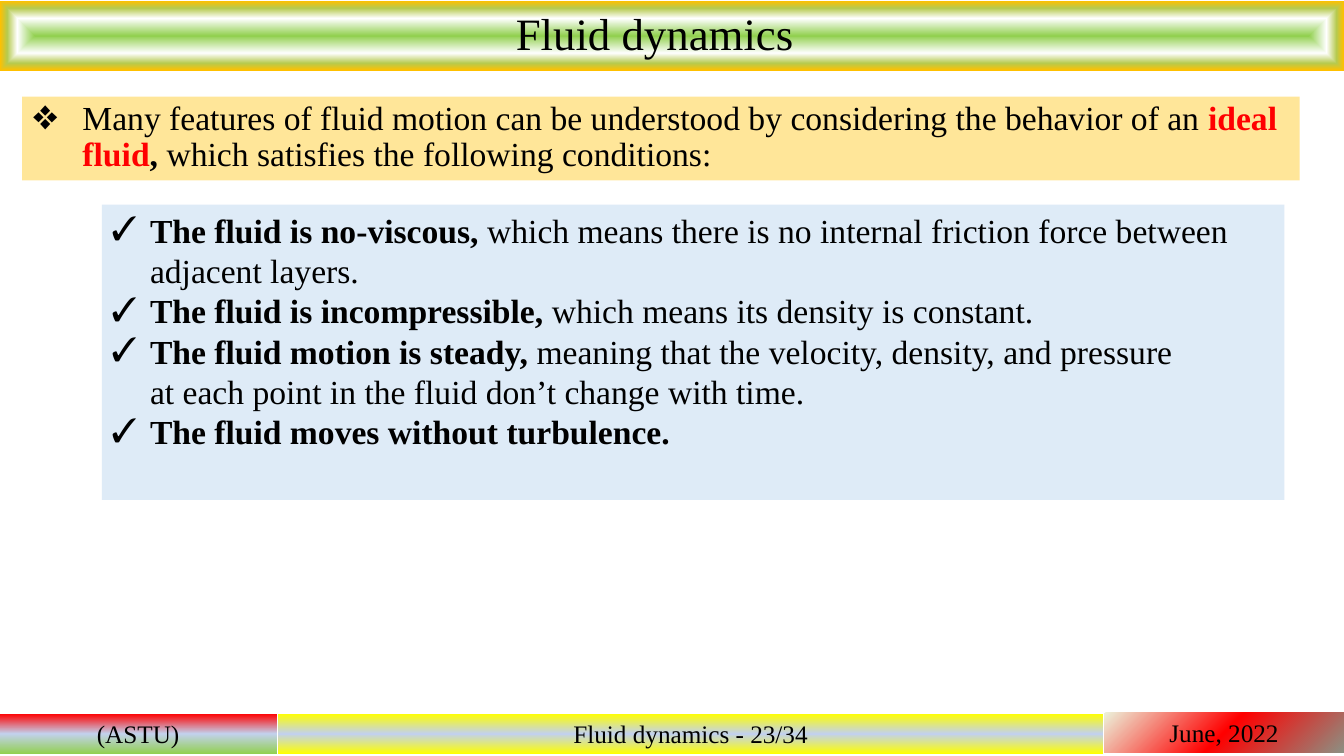
from dataclasses import dataclass
from typing import Optional

from lxml import etree
from pptx import Presentation
from pptx.dml.color import RGBColor
from pptx.enum.shapes import MSO_SHAPE
from pptx.enum.text import MSO_ANCHOR, PP_ALIGN
from pptx.oxml.ns import qn
from pptx.util import Inches, Pt

RECTANGLE = MSO_SHAPE.RECTANGLE
TOP, MIDDLE = MSO_ANCHOR.TOP, MSO_ANCHOR.MIDDLE
LEFT, CENTER = PP_ALIGN.LEFT, PP_ALIGN.CENTER

FONT = "Times New Roman"
BLACK = RGBColor(0x00, 0x00, 0x00)
WHITE = RGBColor(0xFF, 0xFF, 0xFF)
RED = RGBColor(0xFF, 0x00, 0x00)
YELLOW = RGBColor(0xFF, 0xFF, 0x00)
GREEN = RGBColor(0x92, 0xD0, 0x50)
OLIVE = RGBColor(0xB6, 0xCA, 0x4F)
GOLD = RGBColor(0xFF, 0xC0, 0x00)
SAND = RGBColor(0xFF, 0xE6, 0x99)
PALE_BLUE = RGBColor(0xDE, 0xEB, 0xF7)
MIST_BLUE = RGBColor(0xC2, 0xD1, 0xED)
GREY = RGBColor(0x8C, 0x90, 0x83)
CREAM = RGBColor(0xEC, 0xF3, 0xDC)


@dataclass(frozen=True)
class Span:
    text: str
    bold: bool = False
    color: RGBColor = BLACK
    break_before: bool = False


@dataclass(frozen=True)
class Panel:
    left: float
    top: float
    width: float
    height: float
    fill: RGBColor
    bullet: str
    indent: float
    line_spacing: float
    items: list[list[Span]]


@dataclass(frozen=True)
class Gradient:
    stops: list[tuple[int, RGBColor]]
    path_kind: Optional[str] = None  # None runs from top to bottom
    focus: tuple[int, int, int, int] = (50, 50, 50, 50)


@dataclass(frozen=True)
class Bar:
    left: float
    top: float
    width: float
    height: float
    text: str
    size: int
    gradient: Gradient
    right_inset: float = 0.1
    bottom_inset: float = 0.05


PANELS = [
    Panel(0.22, 0.96, 12.67, 0.83, SAND, "❖", 0.5, 0.9, [
        [Span("Many features of fluid motion can be understood by considering the behavior of an "),
         Span("ideal fluid", True, RED), Span(", ", True),
         Span("which satisfies the following conditions:")],
    ]),
    Panel(1.01, 2.03, 11.73, 2.93, PALE_BLUE, "✓", 0.38, 1.0, [
        [Span("The fluid is no-viscous, ", True),
         Span("which means there is no internal friction force between adjacent layers.")],
        [Span("The fluid is incompressible, ", True),
         Span("which means its density is constant.")],
        [Span("The fluid motion is steady, ", True),
         Span("meaning that the velocity, density, and pressure"),
         Span("at each point in the fluid don’t change with time.", break_before=True)],
        [Span("The fluid moves without turbulence.", True)],
    ]),
]

BARS = [
    Bar(0, 0.01, 13.33, 0.69, "Fluid dynamics", 32,
        Gradient([(0, GREEN), (50, WHITE), (79, OLIVE), (100, GOLD)], "rect"), 0.44, 0.11),
    Bar(2.76, 7.08, 8.18, 0.4, "Fluid dynamics - 23/34", 18,
        Gradient([(0, YELLOW), (50, MIST_BLUE), (100, YELLOW)])),
    Bar(-0.01, 7.08, 2.76, 0.4, "(ASTU)", 18,
        Gradient([(0, RED), (50, MIST_BLUE), (100, GREEN)])),
    Bar(10.95, 7.07, 2.38, 0.4, "June, 2022", 18,
        Gradient([(0, GREY), (50, RED), (100, CREAM)], "circle", (100, 100, 0, 0))),
]


def add_box(page, area: Panel | Bar, anchor):
    box = page.shapes.add_shape(RECTANGLE, Inches(area.left), Inches(area.top),
                                Inches(area.width), Inches(area.height))
    box.shadow.inherit = False
    box.line.fill.background()
    box.text_frame.word_wrap = True
    box.text_frame.vertical_anchor = anchor
    return box


def style_font(font, size: int, bold: bool, color: RGBColor) -> None:
    font.name = FONT
    font.size = Pt(size)
    font.bold = bold
    font.color.rgb = color


def set_gradient(box, gradient: Gradient) -> None:
    fill = etree.Element(qn("a:gradFill"), rotWithShape="1")
    stop_list = etree.SubElement(fill, qn("a:gsLst"))
    for position, color in gradient.stops:
        stop = etree.SubElement(stop_list, qn("a:gs"), pos=str(position * 1000))
        etree.SubElement(stop, qn("a:srgbClr"), val=str(color))
    if gradient.path_kind is None:
        etree.SubElement(fill, qn("a:lin"), ang="5400000", scaled="0")
    else:
        shading = etree.SubElement(fill, qn("a:path"))
        shading.set("path", gradient.path_kind)
        sides = {side: str(value * 1000) for side, value in zip("ltrb", gradient.focus)}
        etree.SubElement(shading, qn("a:fillToRect"), **sides)
    box.element.spPr.find(qn("a:prstGeom")).addnext(fill)


def set_bullet(para, symbol: str, indent: float) -> None:
    properties = para._p.get_or_add_pPr()
    properties.set("marL", str(Inches(indent)))
    properties.set("indent", str(-Inches(indent)))
    etree.SubElement(properties, qn("a:buFont"), typeface=FONT)
    etree.SubElement(properties, qn("a:buChar"), char=symbol)


def draw_panel(page, panel: Panel) -> None:
    box = add_box(page, panel, TOP)
    box.fill.solid()
    box.fill.fore_color.rgb = panel.fill
    frame = box.text_frame
    for index, item in enumerate(panel.items):
        para = frame.add_paragraph() if index else frame.paragraphs[0]
        para.alignment = LEFT
        para.line_spacing = panel.line_spacing
        set_bullet(para, panel.bullet, panel.indent)
        for span in item:
            if span.break_before:
                para.add_line_break()
            run = para.add_run()
            run.text = span.text
            style_font(run.font, 24, span.bold, span.color)


def draw_bar(page, bar: Bar) -> None:
    box = add_box(page, bar, MIDDLE)
    set_gradient(box, bar.gradient)
    box.text_frame.margin_right = Inches(bar.right_inset)
    box.text_frame.margin_bottom = Inches(bar.bottom_inset)
    box.text_frame.text = bar.text
    para = box.text_frame.paragraphs[0]
    para.alignment = CENTER
    style_font(para.runs[0].font, bar.size, False, BLACK)


def main() -> None:
    deck = Presentation()
    deck.slide_width, deck.slide_height = Inches(13.33), Inches(7.5)
    page = deck.slides.add_slide(deck.slide_layouts[6])

    # Explanatory text panels
    for panel in PANELS:
        draw_panel(page, panel)

    # Title bar and footer bars
    for bar in BARS:
        draw_bar(page, bar)

    deck.save("out.pptx")


if __name__ == "__main__":
    main()
